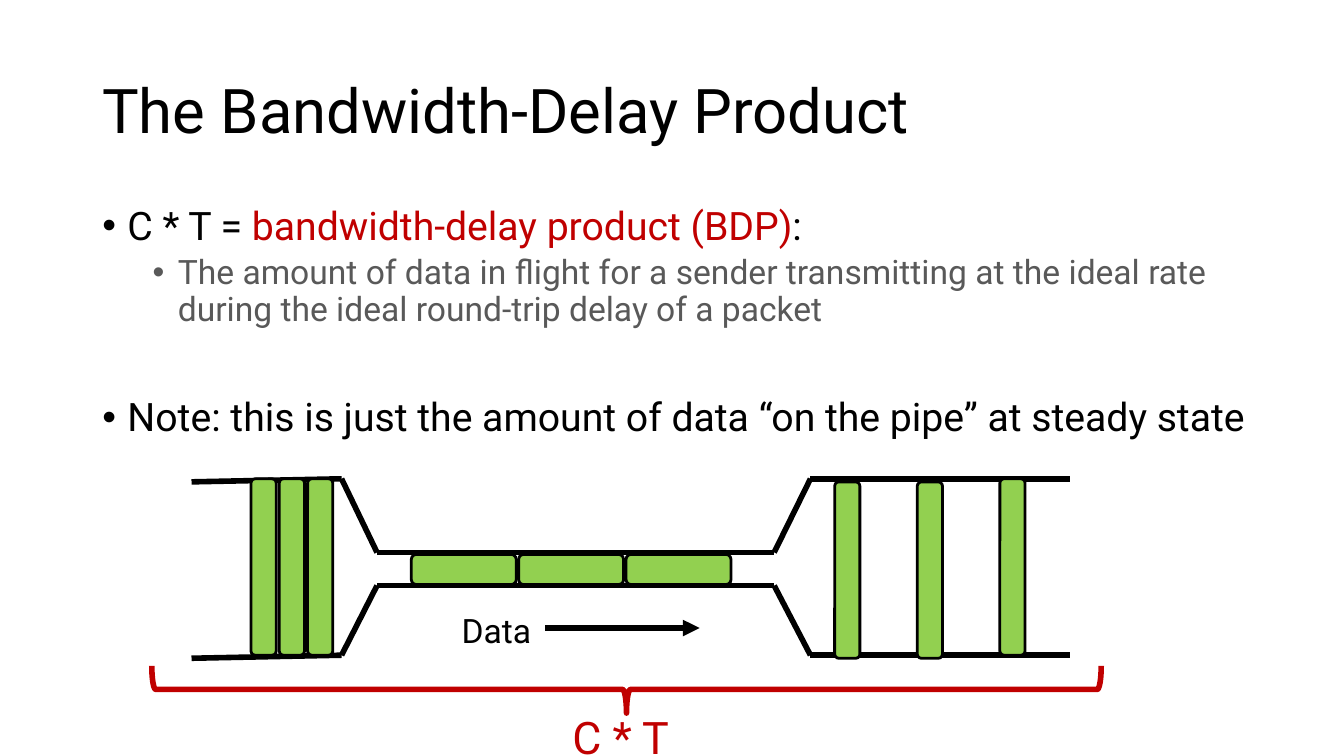
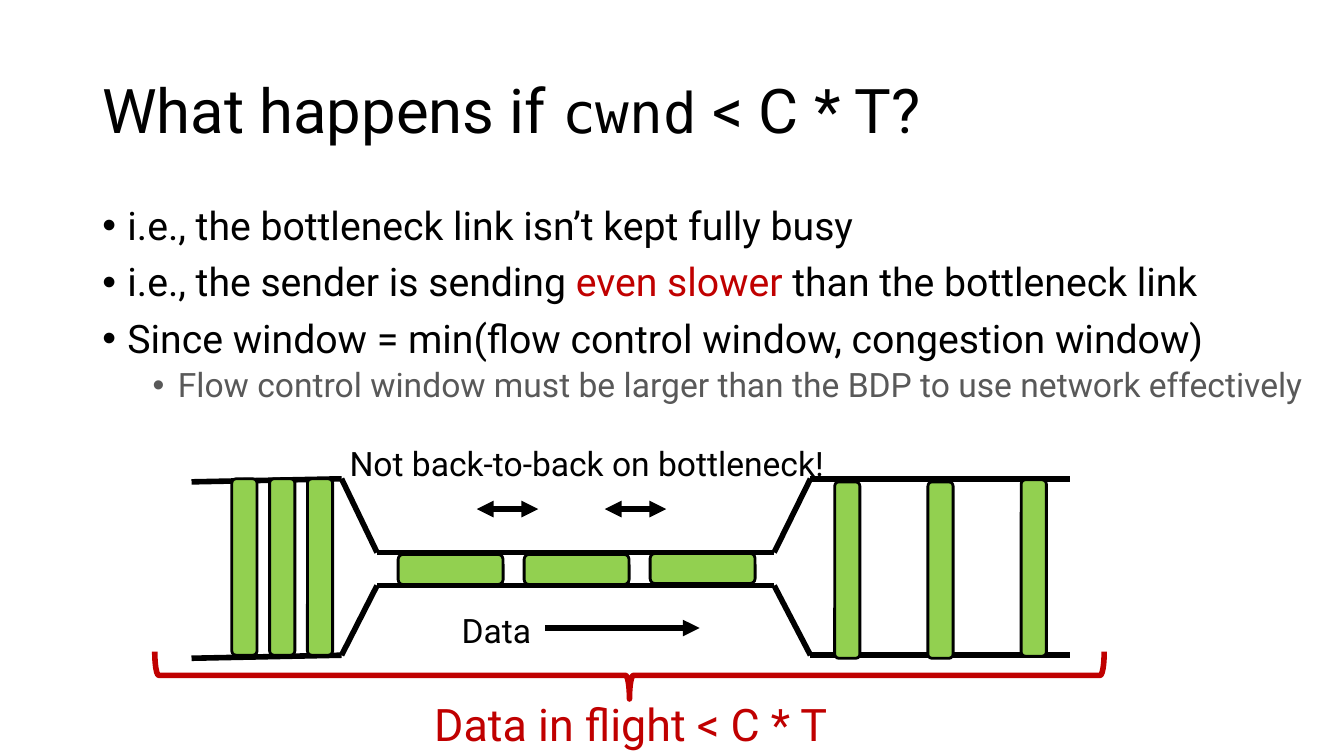
from dataclasses import dataclass
from itertools import pairwise

from lxml.etree import SubElement
from pptx import Presentation
from pptx.dml.color import RGBColor
from pptx.enum.shapes import MSO_CONNECTOR as Connector, MSO_SHAPE as Shape
from pptx.enum.text import MSO_ANCHOR as Anchor
from pptx.oxml.ns import qn
from pptx.util import Pt

COLORS = {"ink": "000000", "sub": "595959", "accent": "C00000",
          "packet": "92D050", "paper": "FFFFFF"}
FONT, MONO = "Roboto", "DejaVu Sans Mono"
TITLE_BOX = (66, 29, 828, 104)
BODY_BOX = (66, 144, 875, 381)

# Walls of the pipe, left to right
PIPE_X = (136.8, 244, 269.3, 553, 578.9, 764.6)
WALLS_Y = ((344.2, 342, 394.6, 394.6, 342, 342),
           (470.2, 468, 418.3, 418.3, 468, 468))


@dataclass
class Run:
    text: str
    color: str | None = None
    font: str = FONT
    size: float | None = None


@dataclass
class Bullet:
    runs: list[Run]
    level: int = 0
    before: float = 10


@dataclass
class Packets:
    """Three equally spaced packets; the last may sit slightly higher."""
    x: float
    step: float
    y: float
    w: float
    h: float
    rise: float = 0


def rgb(name: str) -> RGBColor:
    return RGBColor.from_string(COLORS[name])


def add_run(p, text: str, *, size: float, color: str = "ink", font: str = FONT):
    r = p.add_run()
    r.text = text
    r.font.size, r.font.name = Pt(size), font
    r.font.color.rgb = rgb(color)


def add_runs(p, runs: list[Run], size: float, color: str = "ink"):
    for run in runs:
        add_run(p, run.text, size=run.size or size,
                color=run.color or color, font=run.font)


def add_box(s, box: tuple, anchor=Anchor.TOP):
    tf = s.shapes.add_textbox(*map(Pt, box)).text_frame
    tf.word_wrap = True
    tf.vertical_anchor = anchor
    return tf


def add_label(s, text: str, box: tuple, *, size: float = 24, color: str = "ink"):
    add_run(add_box(s, box).paragraphs[0], text, size=size, color=color)


def add_title(s, runs: list[Run]):
    p = add_box(s, TITLE_BOX, Anchor.MIDDLE).paragraphs[0]
    p.line_spacing = 0.9
    add_runs(p, runs, 44)


def add_bullets(s, bullets: list[Bullet]):
    tf = add_box(s, BODY_BOX)
    for i, bullet in enumerate(bullets):
        p = tf.add_paragraph() if i else tf.paragraphs[0]
        p.level = bullet.level
        p.line_spacing = 0.9
        p.space_before = Pt(bullet.before if i else 0)
        pPr = p._p.get_or_add_pPr()
        pPr.set("marL", str(Pt(18 + 36 * bullet.level)))
        pPr.set("indent", str(-Pt(18)))
        SubElement(pPr, qn("a:buFont")).set("typeface", "Arial")
        SubElement(pPr, qn("a:buChar")).set("char", "•")
        size, color = ((28, "ink"), (24, "sub"))[bullet.level]
        add_runs(p, bullet.runs, size, color)


def add_line(s, start: tuple, end: tuple, heads: tuple = ()):
    line = s.shapes.add_connector(Connector.STRAIGHT, *map(Pt, start + end))
    line.line.width = Pt(4)
    line.line.color.rgb = rgb("ink")
    for head in heads:
        SubElement(line.line._get_or_add_ln(), qn(f"a:{head}")).set("type", "triangle")
    SubElement(line._element.spPr, qn("a:effectLst"))


def add_packets(s, row: Packets):
    for i in range(3):
        y = row.y - (row.rise if i == 2 else 0)
        sp = s.shapes.add_shape(Shape.ROUNDED_RECTANGLE, Pt(row.x + i * row.step),
                                Pt(y), Pt(row.w), Pt(row.h))
        sp.shadow.inherit = False
        sp.fill.solid()
        sp.fill.fore_color.rgb = rgb("packet")
        sp.line.color.rgb = rgb("ink")
        sp.line.width = Pt(2)


def add_brace(s, cx: float, cy: float):
    w, h = 33.8, 678.2
    sp = s.shapes.add_shape(Shape.RIGHT_BRACE, Pt(cx - w / 2), Pt(cy - h / 2), Pt(w), Pt(h))
    sp.rotation = 90
    sp.shadow.inherit = False
    sp.fill.background()
    sp.line.color.rgb = rgb("accent")
    sp.line.width = Pt(4)


def add_pipe(s, rows: list[Packets], brace: tuple, caption: str, caption_box: tuple):
    for wall in WALLS_Y:
        for start, end in pairwise(zip(PIPE_X, wall)):
            add_line(s, start, end)
    for row in rows:
        add_packets(s, row)
    add_label(s, "Data", (322.6, 432, 204.5, 36))
    add_line(s, (389.5, 448.6), (499.7, 448.6), ("tailEnd",))
    add_brace(s, *brace)
    add_label(s, caption, caption_box, size=32, color="accent")


def new_slide(prs, title: list[Run], bullets: list[Bullet]):
    s = prs.slides.add_slide(prs.slide_layouts[6])
    s.background.fill.solid()
    s.background.fill.fore_color.rgb = rgb("paper")
    add_title(s, title)
    add_bullets(s, bullets)
    return s


def product_slide(prs):
    s = new_slide(prs, [Run("The Bandwidth-Delay Product")], [
        Bullet([Run("C * T = "), Run("bandwidth-delay product (BDP)", "accent"), Run(":")]),
        Bullet([Run("The amount of data in flight for a sender transmitting at the "
                    "ideal rate during the ideal round-trip delay of a packet")], 1, 5),
        Bullet([Run("Note: this is just the amount of data “on the pipe” at steady state")],
               before=49.5),
    ])
    add_pipe(s, [Packets(179.3, 20.2, 342, 18, 126),
                 Packets(293.8, 76.7, 396, 75, 21.6),
                 Packets(596.2, 59, 344.2, 18, 126, rise=2.2)],
             (447.5, 492.5), "C * T", (401.8, 503.3, 101.5, 46))


def underfilled_slide(prs):
    title = [Run("What happens if "), Run("cwnd", font=MONO, size=40), Run(" < C * T?")]
    s = new_slide(prs, title, [
        Bullet([Run("i.e., the bottleneck link isn’t kept fully busy")]),
        Bullet([Run("i.e., the sender is sending "), Run("even slower ", "accent"),
                Run("than the bottleneck link")]),
        Bullet([Run("Since window = min(flow control window, congestion window)")]),
        Bullet([Run("Flow control window must be larger than the BDP "
                    "to use network effectively")], 1, 5),
    ])
    add_pipe(s, [Packets(165.6, 27, 342, 18, 126),
                 Packets(284.4, 90, 396, 75, 21.6, rise=0.7),
                 Packets(596.2, 66.6, 344.2, 18, 126, rise=1.5)],
             (449.6, 482.4), "Data in flight < C * T", (303.1, 493.9, 321.8, 46))
    # Gaps between packets on the bottleneck
    add_label(s, "Not back-to-back on bottleneck!", (242.6, 312.5, 406, 36))
    for x in (340.6, 432):
        add_line(s, (x, 363.6), (x + 43.9, 363.6), ("headEnd", "tailEnd"))


def main():
    prs = Presentation()
    prs.slide_width, prs.slide_height = Pt(960), Pt(540)
    product_slide(prs)
    underfilled_slide(prs)
    prs.save("out.pptx")


if __name__ == "__main__":
    main()
